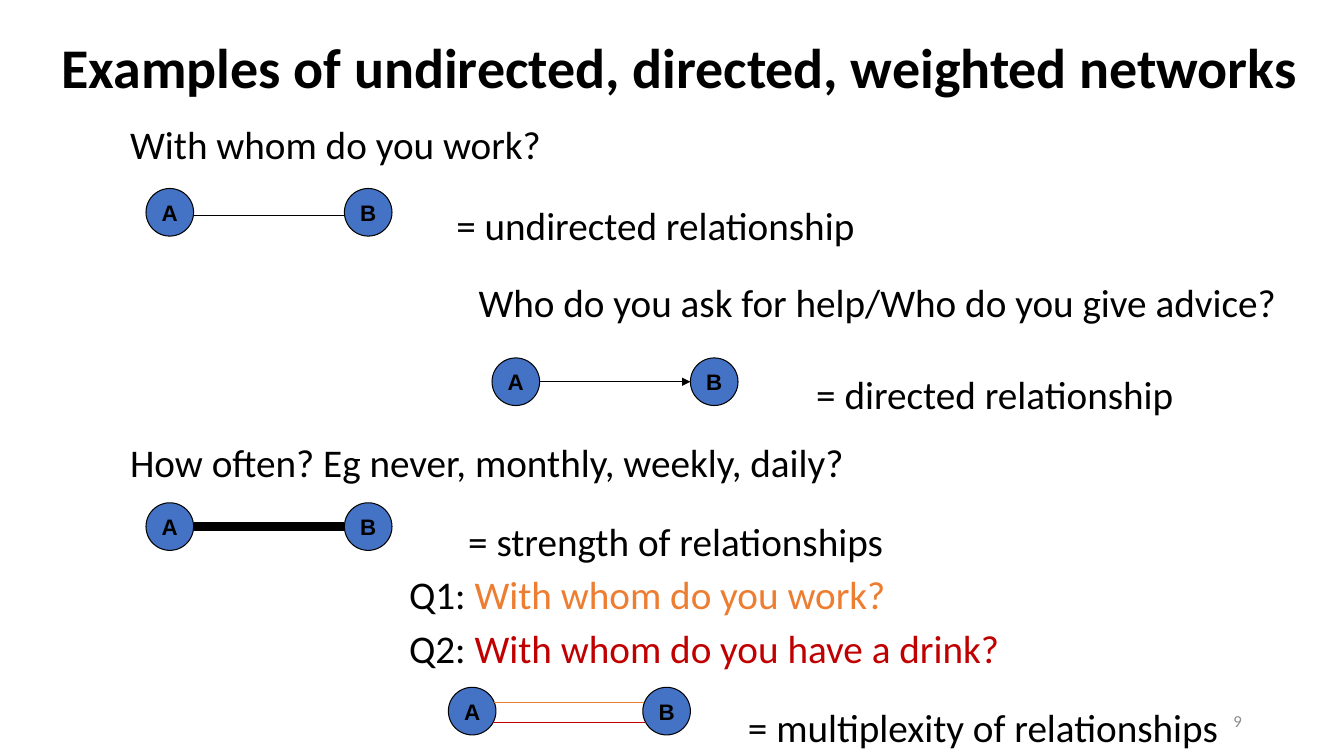
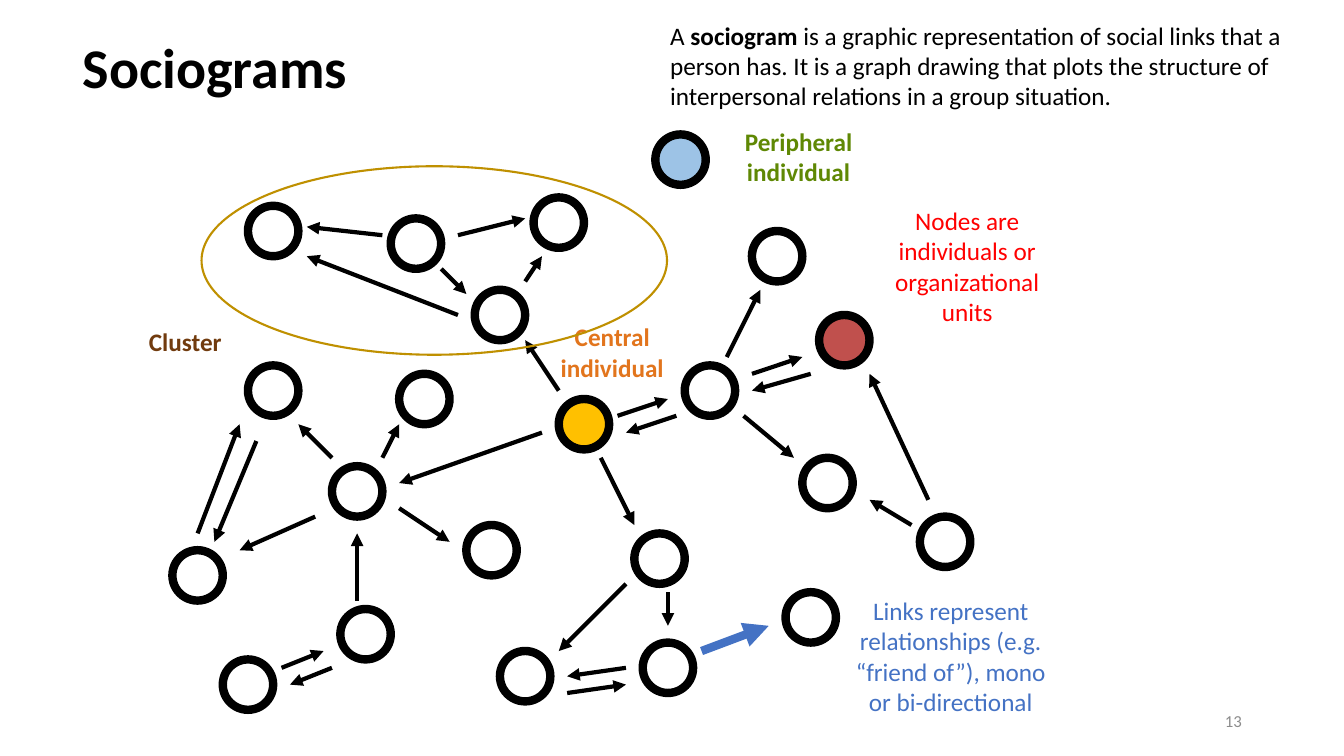
"""Build two slides on kinds of networks and on sociograms."""
import math
from dataclasses import dataclass

from lxml import etree
from pptx import Presentation
from pptx import util as u
from pptx.dml.color import RGBColor
from pptx.enum import shapes, text
from pptx.oxml import ns


@dataclass(frozen=True)
class Theme:
    """Colours, fonts, sizes and line widths."""
    black: str = "000000"
    grey: str = "8C8C8C"
    blue: str = "4472C4"
    orange: str = "ED7D31"
    dark_red: str = "C00000"
    red: str = "FF0000"
    rust: str = "C0504D"
    amber: str = "FFC000"
    gold: str = "BF9000"
    sky: str = "9DC3E6"
    green: str = "5F8804"
    brown: str = "713B0E"
    pumpkin: str = "E2751D"
    font: str = "Calibri"
    node_font: str = "Arial"
    title: int = 40
    body: int = 28
    note: int = 18
    letter: int = 16
    number: int = 12
    thin: float = 0.75
    outline: float = 1.5
    arrow: float = 3
    thick: float = 6


T = Theme()
WIDTH, HEIGHT = 33.87, 19.05
TITLE_RIGHT = 33.12
NODE = 1.2
GRID_X, GRID_Y, GRID = 4.98, 5.61, 2.54 / 12
LEFT, CENTER, RIGHT = text.PP_ALIGN.LEFT, text.PP_ALIGN.CENTER, text.PP_ALIGN.RIGHT
MIDDLE = text.MSO_ANCHOR.MIDDLE


class Deck:
    """Holds the presentation, its style and the current slide."""

    def __init__(self):
        """Start an empty widescreen presentation."""
        self.prs = Presentation()
        self.prs.slide_width, self.prs.slide_height = u.Cm(WIDTH), u.Cm(HEIGHT)
        self.s = None

    def slide(self, title, left, number):
        """Add a slide with its title and number."""
        self.s = self.prs.slides.add_slide(self.prs.slide_layouts[5])
        sp = self.s.shapes.title
        box = dict(left=left, top=0, width=TITLE_RIGHT - left, height=3.53)
        for key, value in box.items():
            setattr(sp, key, u.Cm(value))
        self.fill_text(sp.text_frame, [[(title, {"bold": True})]], T.title,
                       anchor=MIDDLE, spacing=0.9)
        self.text(23.93, 17.65, 7.62, 1.02, [[(number, {})]], T.number,
                  color=T.grey, align=RIGHT, anchor=MIDDLE)

    def fill_text(self, tf, paragraphs, size, color=T.black, font=T.font, align=LEFT,
                  anchor=text.MSO_ANCHOR.TOP, spacing=1.0, gap=0, wrap=True, inset=None):
        """Fill a text frame with paragraphs made of (text, format) runs."""
        frame = dict(word_wrap=wrap, auto_size=text.MSO_AUTO_SIZE.NONE,
                     vertical_anchor=anchor)
        if inset is not None:
            sides = ("left", "top", "right", "bottom")
            frame.update({f"margin_{side}": u.Cm(inset) for side in sides})
        for key, value in frame.items():
            setattr(tf, key, value)
        for i, runs in enumerate(paragraphs):
            p = tf.add_paragraph() if i else tf.paragraphs[0]
            p.alignment, p.line_spacing = align, spacing
            p.space_before = u.Pt(gap if i else 0)
            for words, extra in runs:
                r = p.add_run()
                r.text = words
                fmt = dict(name=font, size=u.Pt(size), bold=False) | extra
                r.font.color.rgb = RGBColor.from_string(fmt.pop("color", color))
                for key, value in fmt.items():
                    setattr(r.font, key, value)

    def text(self, x, y, w, h, paragraphs, size, **style):
        """Add a text box."""
        sp = self.s.shapes.add_textbox(u.Cm(x), u.Cm(y), u.Cm(w), u.Cm(h))
        self.fill_text(sp.text_frame, paragraphs, size, **style)

    def statement(self, x, y, *paragraphs):
        """Add large text that may run to the right edge of the slide."""
        self.text(x, y, WIDTH - x, 1.25 * len(paragraphs), paragraphs, T.body,
                  gap=5, inset=0)

    def note(self, x, y, w, h, words, color, bold=False):
        """Add a small centred coloured caption."""
        self.text(x, y, w, h, [[(words, {"bold": bold})]], T.note,
                  color=color, align=CENTER)

    def ellipse(self, x, y, w, h, fill=None, line=T.black, width=T.thick):
        """Add an ellipse, hollow when no fill is given."""
        sp = self.s.shapes.add_shape(shapes.MSO_SHAPE.OVAL,
                                     u.Cm(x), u.Cm(y), u.Cm(w), u.Cm(h))
        sp.shadow.inherit = False
        if fill:
            sp.fill.solid()
            sp.fill.fore_color.rgb = RGBColor.from_string(fill)
        else:
            sp.fill.background()
        sp.line.color.rgb = RGBColor.from_string(line)
        sp.line.width = u.Pt(width)
        return sp

    def line(self, x1, y1, x2, y2, color=T.black, width=T.thin, arrow=False):
        """Add a straight line, with an arrowhead at its end if wanted."""
        sp = self.s.shapes.add_connector(shapes.MSO_CONNECTOR.STRAIGHT,
                                         u.Cm(x1), u.Cm(y1), u.Cm(x2), u.Cm(y2))
        sp.line.color.rgb = RGBColor.from_string(color)
        sp.line.width = u.Pt(width)
        props = sp._element.spPr
        if arrow:
            etree.SubElement(props.find(ns.qn("a:ln")), ns.qn("a:tailEnd"), type="triangle")
        etree.SubElement(props, ns.qn("a:effectLst"))

    def pair(self, x, y, span, links, arrow=False):
        """Add nodes A and B joined by (offset, colour, width) links."""
        for letter, left in (("A", x), ("B", x + span)):
            sp = self.ellipse(left, y, NODE, NODE, T.blue, width=T.thin)
            self.fill_text(sp.text_frame, [[(letter, {"bold": True})]], T.letter,
                           font=T.node_font, align=CENTER, anchor=MIDDLE, wrap=False, inset=0)
        radius = NODE / 2
        for offset, color, width in links:
            reach = math.sqrt(radius ** 2 - offset ** 2)
            level = y + radius + offset
            self.line(x + radius + reach, level, x + span + radius - reach, level,
                      color, width, arrow)

    def node(self, col, row, fill=None):
        """Add a sociogram node centred on a grid point."""
        size = 6 * GRID
        self.ellipse(GRID_X + (col - 3) * GRID, GRID_Y + (row - 3) * GRID, size, size, fill)

    def link(self, col1, row1, col2, row2, color=T.black, width=T.arrow):
        """Add an arrow between two grid points."""
        self.line(GRID_X + col1 * GRID, GRID_Y + row1 * GRID,
                  GRID_X + col2 * GRID, GRID_Y + row2 * GRID, color, width, True)


STATEMENTS = [
    (3.28, 3.02, "With whom do you work?"),
    (11.5, 5.08, "= undirected relationship"),
    (12.06, 7.02, "Who do you ask for help/Who do you give advice?"),
    (20.57, 9.32, "= directed relationship"),
    (3.28, 11.05, "How often? Eg never, monthly, weekly, daily?"),
    (11.8, 13.04, "= strength of relationships"),
    (18.85, 17.73, "= multiplexity of relationships"),
]

NODES = [
    (20, 49), (0, 42), (6, 55), (27, 21), (35, 39), (9, 20), (26, 2.5), (9, 1),
    (43, 0), (19, 32), (36, 11), (69, 4), (75, 31), (89, 38), (55, 40), (39, 54),
    (73, 47), (56, 53), (61, 20),
    (46, 24, T.amber), (77, 14, T.rust), (57.5, -7.5, T.sky),
]

LINKS = [
    (19, 45, 19, 37), (14, 35, 5, 39), (10, 53, 15, 51), (16, 53, 11, 55),
    (22, 28, 24, 24), (24, 34, 30, 38), (16, 28, 12, 24), (0, 37, 5, 24),
    (7, 26, 2, 38), (22, 1.5, 13, 0.5), (31, 1.5, 39, -0.5), (29, 5.5, 32, 8.5),
    (31, 11, 13, 4), (39, 7, 41, 4), (41, 25, 24, 31), (43, 20, 39, 14),
    (63, 16, 67, 8), (66, 18, 72, 16), (73, 18, 66, 20), (65, 23, 71, 28),
    (87, 33, 80, 18), (85, 36, 80, 33), (48, 28, 52, 36), (51, 43, 43, 51),
    (51, 53, 44, 54), (56, 44, 56, 48), (44, 56, 51, 55), (50, 23, 56, 21),
    (57, 23, 51, 25), (60, 51, 68, 48, T.blue, T.thick),
]

NOTES = [
    (21.95, 5.05, 4.85, 3.33, "Nodes are individuals or organizational units", T.red),
    (21.13, 14.88, 5.66, 3.33,
     "Links represent relationships (e.g. “friend of”), mono or bi-directional", T.blue),
    (13.64, 7.98, 3.58, 1.8, "Central individual", T.pumpkin, True),
    (2.92, 8.1, 3.5, 1.02, "Cluster", T.brown, True),
    (18.03, 3.05, 4.19, 1.8, "Peripheral individual", T.green, True),
]

DEFINITION = [
    ("A ", {}),
    ("sociogram", {"bold": True}),
    (" is a graphic representation of social links that a person has. It is a graph "
     "drawing that plots the structure of interpersonal relations in a group situation.", {}),
]


def network_types(deck):
    """Build the slide with examples of network types."""
    deck.slide("Examples of undirected, directed, weighted networks", 1.3, "9")
    for x, y, words in STATEMENTS:
        deck.statement(x, y, [(words, {})])
    deck.statement(10.31, 14.38,
                   [("Q1: ", {}), ("With whom do you work?", {"color": T.orange})],
                   [("Q2: ", {}), ("With whom do you have a drink?", {"color": T.dark_red})])
    deck.pair(3.68, 4.75, 5, [(0.08, T.black, T.thin)])
    deck.pair(12.4, 9.02, 5, [(0, T.black, T.thin)], arrow=True)
    deck.pair(3.68, 12.67, 5, [(0, T.black, T.thick)])
    deck.pair(11.3, 17.32, 4.9, [(-0.22, T.orange, T.thin), (0.29, T.dark_red, T.thin)])


def sociogram(deck):
    """Build the slide with the sociogram."""
    deck.slide("Sociograms", 1.83, "13")
    for node in NODES:
        deck.node(*node)
    for link in LINKS:
        deck.link(*link)
    for note in NOTES:
        deck.note(*note)
    deck.ellipse(5.08, 4.19, 11.73, 4.75, line=T.gold, width=T.outline)
    deck.text(16.64, 0.38, 16.94, 2.57, [DEFINITION], T.note)


def main():
    """Build and save the presentation."""
    deck = Deck()
    network_types(deck)
    sociogram(deck)
    deck.prs.save("out.pptx")


if __name__ == "__main__":
    main()
